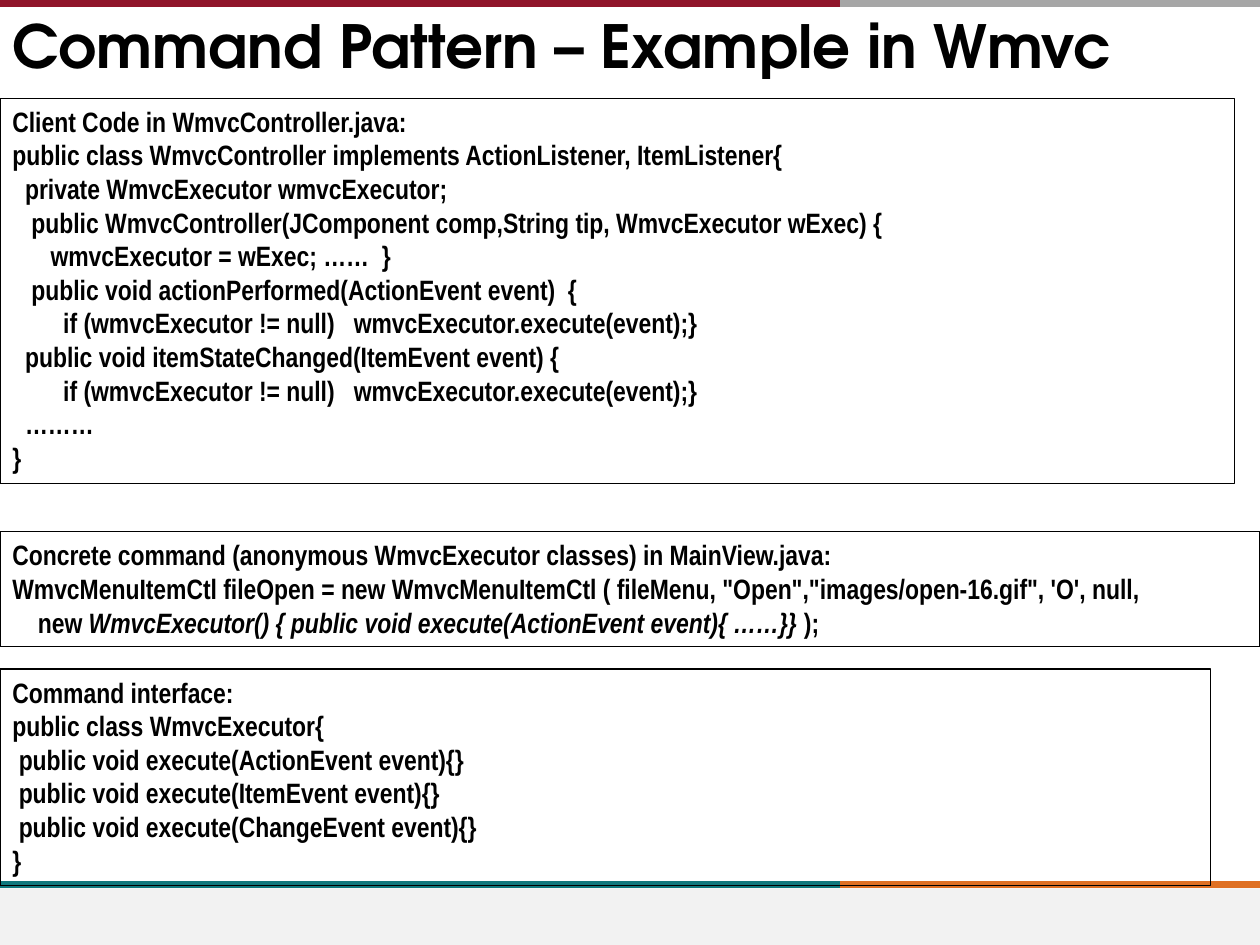
"""Build the Command Pattern slide with its three code boxes."""
from lxml import etree
from pptx import Presentation
from pptx.dml.color import RGBColor
from pptx.enum.shapes import MSO_CONNECTOR, MSO_SHAPE
from pptx.enum.text import MSO_ANCHOR, MSO_AUTO_SIZE, PP_ALIGN
from pptx.oxml.ns import qn
from pptx.util import Inches, Pt

RECT = MSO_SHAPE.RECTANGLE
LINE = MSO_CONNECTOR.STRAIGHT
LEFT = PP_ALIGN.LEFT
TOP, MIDDLE = MSO_ANCHOR.TOP, MSO_ANCHOR.MIDDLE
GROW = MSO_AUTO_SIZE.SHAPE_TO_FIT_TEXT

THEME = {
    "ink": RGBColor.from_string("000000"),
    "foot": RGBColor.from_string("F2F2F2"),
    "title": {"name": "TeX Gyre Adventor", "size": Pt(34), "bold": True},
    "code": {"name": "Arial Narrow", "size": Pt(16), "bold": True},
    "rule": Pt(4),
    "edge": Pt(0.75),
}

RULES = [
    (6.67, 10, 7.02, "DF7023"),
    (0, 6.67, 7.02, "0F787D"),
    (6.67, 10, 0.03, "A6A6A6"),
    (0, 6.67, 0.03, "90152A"),
]

CLIENT = """Client Code in WmvcController.java:
public class WmvcController implements ActionListener, ItemListener{
  private WmvcExecutor wmvcExecutor;
   public WmvcController(JComponent comp,String tip, WmvcExecutor wExec) {
      wmvcExecutor = wExec; ……  }
   public void actionPerformed(ActionEvent event)  {
        if (wmvcExecutor != null)   wmvcExecutor.execute(event);}
  public void itemStateChanged(ItemEvent event) {
        if (wmvcExecutor != null)   wmvcExecutor.execute(event);}
  ………
}"""

ORDER = """Command interface:
public class WmvcExecutor{
 public void execute(ActionEvent event){}
 public void execute(ItemEvent event){}
 public void execute(ChangeEvent event){}
}"""

MENU = """Concrete command (anonymous WmvcExecutor classes) in MainView.java:
WmvcMenuItemCtl fileOpen = new WmvcMenuItemCtl ( fileMenu, "Open","images/open-16.gif", 'O', null,
    new |WmvcExecutor() { public void execute(ActionEvent event){ ……}} |);"""

BOXES = [
    (0.78, 9.8, 3.06, CLIENT),
    (5.31, 9.61, 1.72, ORDER),
    (4.22, 10, 0.91, MENU),
]


def write(frame, text, style):
    """Fill a frame line by line; bars switch italics on and off."""
    for row, line in enumerate(text.split("\n")):
        para = frame.paragraphs[0] if row == 0 else frame.add_paragraph()
        para.alignment = LEFT
        for part, words in enumerate(line.split("|")):
            run = para.add_run()
            run.text = words
            for key, value in {**style, "italic": part == 1}.items():
                setattr(run.font, key, value)
            run.font.color.rgb = THEME["ink"]


deck = Presentation()
deck.slide_width, deck.slide_height = Inches(10), Inches(7.5)
slide = deck.slides.add_slide(deck.slide_layouts[6])
shapes = slide.shapes

for start, end, y, color in RULES:
    rule = shapes.add_connector(LINE, Inches(start), Inches(y), Inches(end), Inches(y))
    rule.line.color.rgb = RGBColor.from_string(color)
    rule.line.width = THEME["rule"]
    etree.SubElement(rule.line._get_or_add_ln().getparent(), qn("a:effectLst"))

foot = shapes.add_shape(RECT, 0, Inches(7.05), Inches(10), Inches(0.45))
foot.shadow.inherit = False
foot.fill.solid()
foot.fill.fore_color.rgb = THEME["foot"]
foot.line.fill.background()

title = shapes.add_textbox(0, 0, Inches(10), Inches(0.78)).text_frame
title.word_wrap = True
title.vertical_anchor = MIDDLE
write(title, "Command Pattern – Example in Wmvc", THEME["title"])
title.paragraphs[0].line_spacing = 0.9

for top, width, height, text in BOXES:
    box = shapes.add_shape(RECT, 0, Inches(top), Inches(width), Inches(height))
    box.shadow.inherit = False
    box.fill.background()
    box.line.color.rgb = THEME["ink"]
    box.line.width = THEME["edge"]
    frame = box.text_frame
    for key, value in {"word_wrap": True, "auto_size": GROW, "vertical_anchor": TOP}.items():
        setattr(frame, key, value)
    write(frame, text, THEME["code"])

deck.save("out.pptx")
